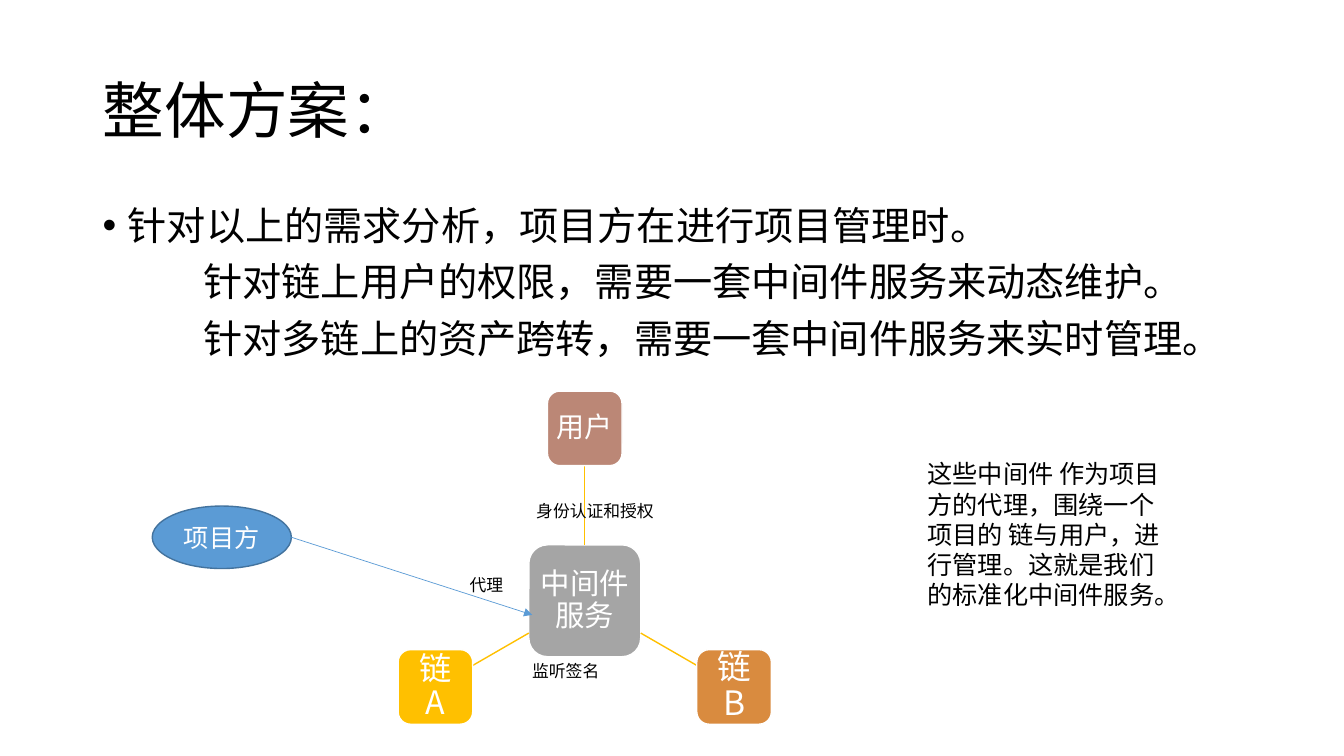
from math import cos, sin, radians
from lxml import etree
from pptx import Presentation
from pptx.dml.color import RGBColor
from pptx.enum import shapes, text
from pptx.oxml import ns
from pptx.util import Inches, Pt

FONT = "Noto Sans CJK SC"
BLACK = RGBColor(0, 0, 0)
WHITE = RGBColor(255, 255, 255)
GRAY = RGBColor(0xA5, 0xA5, 0xA5)
GOLD = RGBColor(0xFF, 0xC0, 0x00)
ROSE = RGBColor(0xBB, 0x87, 0x76)
RUST = RGBColor(0xD9, 0x8B, 0x3F)
BLUE = RGBColor(0x5B, 0x9B, 0xD5)
NAVY = RGBColor(0x43, 0x73, 0x9E)
MID = text.MSO_ANCHOR.MIDDLE
KIND = shapes.MSO_SHAPE


def place(box):
    return [Inches(side) for side in box]


def add_run(para, words, size, color=BLACK):
    run = para.add_run()
    run.text = words
    run.font.size = Pt(size)
    run.font.name = FONT
    run.font.color.rgb = color
    east = etree.SubElement(run.font._element, ns.qn("a:ea"))
    east.set("typeface", FONT)


def add_text(slide, box, words, size, wrap=True):
    frame = slide.shapes.add_textbox(*place(box)).text_frame
    frame.word_wrap = wrap
    add_run(frame.paragraphs[0], words, size)


def add_node(slide, kind, box, words, size, fill, edge=WHITE, pad=0.05, lead=0.9):
    node = slide.shapes.add_shape(kind, *place(box))
    node.shadow.inherit = False
    node.fill.solid()
    node.fill.fore_color.rgb = fill
    node.line.color.rgb = edge
    node.line.width = Pt(1)
    frame = node.text_frame
    frame.word_wrap = True
    frame.vertical_anchor = MID
    frame.margin_left = frame.margin_right = Inches(pad)
    frame.margin_top = frame.margin_bottom = Inches(pad)
    para = frame.paragraphs[0]
    para.alignment = text.PP_ALIGN.CENTER
    para.line_spacing = lead
    add_run(para, words, size, WHITE)


def add_line(slide, start, end, color, width, arrow=False):
    line = slide.shapes.add_connector(
        shapes.MSO_CONNECTOR.STRAIGHT, *place(start + end))
    line.line.color.rgb = color
    line.line.width = Pt(width)
    if arrow:
        tail = etree.SubElement(line.line._get_or_add_ln(), ns.qn("a:tailEnd"))
        tail.set("type", "triangle")
    etree.SubElement(line._element.spPr, ns.qn("a:effectLst"))


def add_title(slide, box, words):
    title = slide.shapes.title
    title.left, title.top, title.width, title.height = place(box)
    frame = title.text_frame
    frame.auto_size = text.MSO_AUTO_SIZE.NONE
    frame.vertical_anchor = MID
    para = frame.paragraphs[0]
    para.alignment = text.PP_ALIGN.LEFT
    para.line_spacing = 0.9
    add_run(para, words, 44)


def add_body(slide, box, lead, points):
    """Place a bulleted lead line with indented points below it."""
    frame = slide.shapes.add_textbox(*place(box)).text_frame
    frame.word_wrap = True
    for row, words in enumerate([lead] + points):
        para = frame.add_paragraph() if row else frame.paragraphs[0]
        para.line_spacing = 0.9
        para.space_before = Pt(10)
        props = para._p.get_or_add_pPr()
        props.set("marL", str(Inches(1 if row else 0.25)))
        props.set("indent", str(Inches(0 if row else -0.25)))
        if not row:
            font = etree.SubElement(props, ns.qn("a:buFont"))
            font.set("typeface", "Arial")
            mark = etree.SubElement(props, ns.qn("a:buChar"))
            mark.set("char", "•")
        add_run(para, words, 28)


def add_radial(slide, box):
    """Place the hub and its three nodes on a circle, joined by spokes."""
    left, top, width, height = box
    hub, leaf, reach = width * 0.3, width * 0.2, width * 0.4622
    mid_x, mid_y = left + width / 2, top + leaf / 2 + reach

    def square(x, y, side):
        return x - side / 2, y - side / 2, side, side

    add_node(slide, KIND.ROUNDED_RECTANGLE, square(mid_x, mid_y, hub),
             "中间件服务", 21, GRAY)
    for angle, words, size, fill, pad in [
            (-90, "用户", 20, ROSE, 0.05),
            (30, "链B", 24, RUST, 0.08),
            (150, "链A", 23, GOLD, 0.08)]:
        run, rise = cos(radians(angle)), sin(radians(angle))
        skew = 2 * max(abs(run), abs(rise))
        start, end = [(mid_x + dist * run, mid_y + dist * rise)
                      for dist in (hub / skew, reach - leaf / skew)]
        add_line(slide, start, end, GOLD, 1)
        add_node(slide, KIND.ROUNDED_RECTANGLE,
                 square(mid_x + reach * run, mid_y + reach * rise, leaf),
                 words, size, fill, pad=pad)


def add_owner(slide, box, target):
    """Place the owner ellipse and its arrow to the target point."""
    left, top, width, height = box
    add_node(slide, KIND.OVAL, box, "项目方", 18, BLUE, NAVY, lead=1)
    add_line(slide, (left + width, top + height / 2), target, BLUE, 0.5, True)


def main():
    deck = Presentation()
    deck.slide_width, deck.slide_height = Inches(13.33), Inches(7.5)
    slide = deck.slides.add_slide(deck.slide_layouts[5])
    add_title(slide, (0.92, 0.4, 11.5, 1.45), "整体方案：")
    add_body(slide, (0.92, 2, 11.5, 4.76),
             "针对以上的需求分析，项目方在进行项目管理时。",
             ["针对链上用户的权限，需要一套中间件服务来动态维护。",
              "针对多链上的资产跨转，需要一套中间件服务来实时管理。"])
    add_radial(slide, (3.95, 3.88, 3.7, 3.3))
    add_owner(slide, (1.51, 5.02, 1.38, 0.62), (5.28, 6.1))
    for left, top, width, words in [
            (4.56, 5.65, 0.54, "代理"),
            (5.22, 4.92, 1.38, "身份认证和授权"),
            (5.18, 6.51, 0.88, "监听签名")]:
        add_text(slide, (left, top, width, 0.3), words, 12, wrap=False)
    add_text(slide, (9.1, 4.5, 2.51, 1.92),
             "这些中间件 作为项目方的代理，围绕一个项目的 链与用户，"
             "进行管理。这就是我们的标准化中间件服务。", 18)
    deck.save("out.pptx")


if __name__ == "__main__":
    main()
